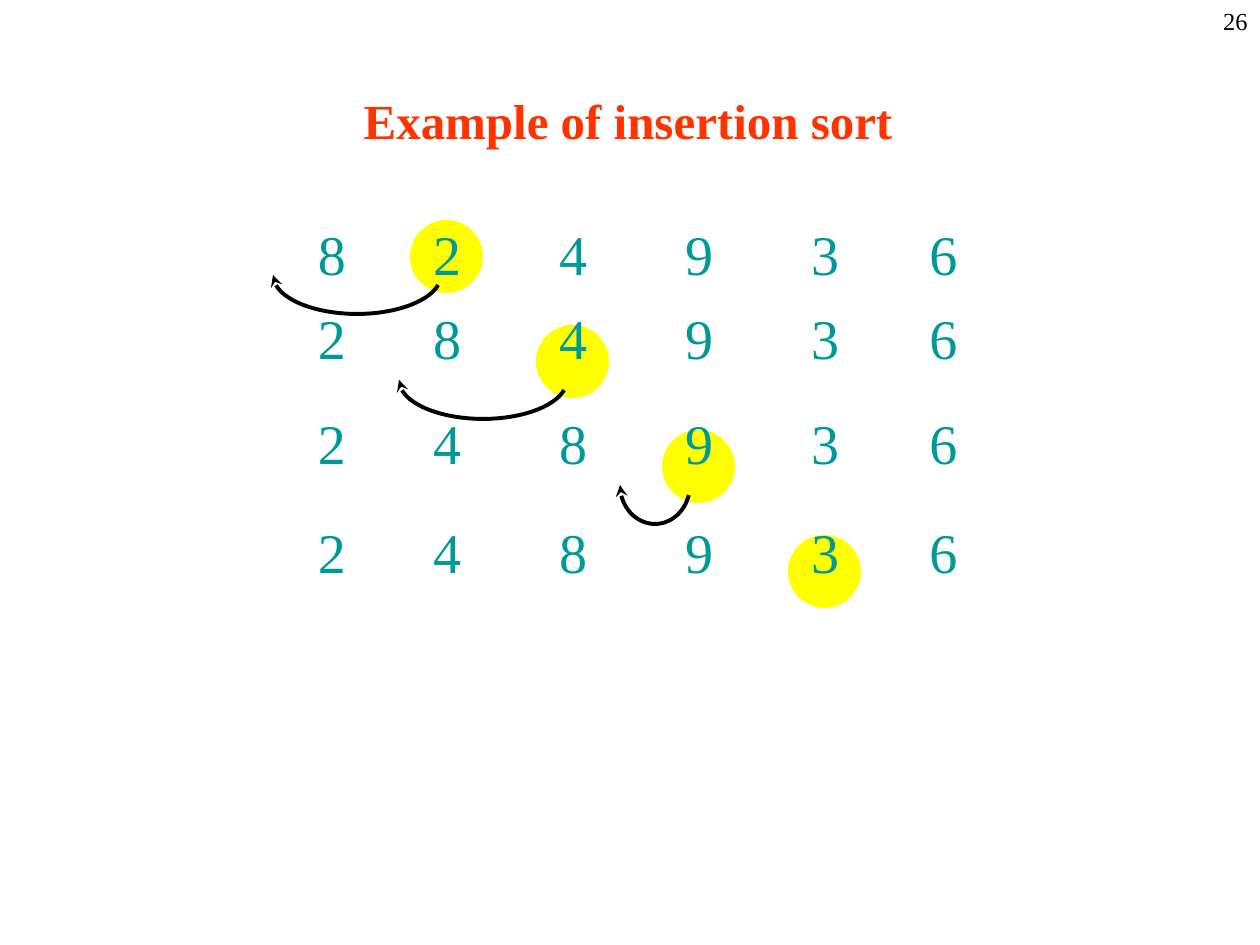
import dataclasses
import math

import pptx
import pptx.dml.color
import pptx.enum.text
import pptx.oxml
import pptx.oxml.ns
import pptx.util
from pptx.enum.shapes import MSO_SHAPE

SCALE = 914400 / 126
ALIGN = pptx.enum.text.PP_ALIGN
ANCHOR = pptx.enum.text.MSO_ANCHOR
PLAIN_GRID = "{2D5ABB26-0587-4C30-8999-92F81FD0307C}"

STEP = 126          # column pitch
DROP = 105          # pitch of the marked steps
COLS = [82, STEP, STEP, STEP, STEP, 82]
ROWS = [83, DROP, DROP, 83]
STEPS = ["824936", "284936", "248936", "248936"]
LINES = [35, None, None, 38]    # exact line height of each row, in points


@dataclasses.dataclass(frozen=True)
class Theme:
    face: str = "Times New Roman"
    title: str = "FF3300"
    digit: str = "009999"
    mark: str = "FFFF00"
    ink: str = "000000"
    head: int = 28
    cell: int = 32
    note: int = 14
    stroke: float = 2.25


THEME = Theme()


def px(num):
    return pptx.util.Emu(round(num * SCALE))


def rgb(code):
    return pptx.dml.color.RGBColor.from_string(code)


def apply(item, form):
    for name, value in form.items():
        setattr(item, name, value)


def place(shape, left, top, width, height):
    apply(shape, {"left": px(left), "top": px(top),
                  "width": px(width), "height": px(height)})


def write(frame, text, size, color, align, bold=False, line=None):
    para = frame.paragraphs[0]
    apply(para, {"alignment": align, "line_spacing": line and pptx.util.Pt(line)})
    run = para.add_run()
    run.text = text
    apply(run.font, {"name": THEME.face, "size": pptx.util.Pt(size), "bold": bold})
    run.font.color.rgb = rgb(color)


def add_title(slide, text):
    title = slide.shapes.title
    place(title, 210, 71, 836, 96)
    apply(title.text_frame, {
        "margin_left": 0, "margin_right": 0, "margin_top": px(1), "margin_bottom": 0,
        "vertical_anchor": ANCHOR.MIDDLE, "word_wrap": True,
        "auto_size": pptx.enum.text.MSO_AUTO_SIZE.NONE})
    write(title.text_frame, text, THEME.head, THEME.title, ALIGN.CENTER, bold=True)


def add_number(slide, text):
    box = slide.shapes.add_textbox(px(998), 0, px(262), px(63))
    box.text_frame.word_wrap = True
    write(box.text_frame, text, THEME.note, THEME.ink, ALIGN.RIGHT)


def add_mark(slide, left, top):
    """Disc behind the digit that is inserted next."""
    disc = slide.shapes.add_shape(MSO_SHAPE.OVAL, px(left), px(top), px(73), px(73))
    disc.shadow.inherit = False
    disc.fill.solid()
    disc.fill.fore_color.rgb = rgb(THEME.mark)
    disc.line.fill.background()


def add_arc(slide, mid, top, wide, deep=39):
    """Arrow along the lower half of an ellipse, from right to left."""
    points = [(px(mid + wide * math.cos(math.radians(deg))),
               px(top + deep * math.sin(math.radians(deg))))
              for deg in range(15, 181, 5)]
    path = slide.shapes.build_freeform(*points[0], scale=1.0)
    path.add_line_segments(points[1:], close=False)
    arc = path.convert_to_shape()
    arc.shadow.inherit = False
    arc.fill.background()
    arc.line.width = pptx.util.Pt(THEME.stroke)
    arc.line.color.rgb = rgb(THEME.ink)
    tip = pptx.oxml.parse_xml(
        '<a:tailEnd %s type="stealth" w="med" len="med"/>' % pptx.oxml.ns.nsdecls("a"))
    arc.line._get_or_add_ln().append(tip)


def add_grid(slide):
    frame = slide.shapes.add_table(len(ROWS), len(COLS), px(302), px(220),
                                   px(sum(COLS)), px(sum(ROWS)))
    table = frame.table
    apply(table, {"first_row": False, "horz_banding": False})
    table._tbl.tblPr.find(pptx.oxml.ns.qn("a:tableStyleId")).text = PLAIN_GRID
    for col, width in zip(table.columns, COLS):
        col.width = px(width)
    sides = [ALIGN.LEFT] + [ALIGN.CENTER] * 4 + [ALIGN.RIGHT]
    for row, height, digits, line in zip(table.rows, ROWS, STEPS, LINES):
        row.height = px(height)
        for cell, digit, side in zip(row.cells, digits, sides):
            cell.fill.background()
            write(cell.text_frame, digit, THEME.cell, THEME.digit, side, line=line)
    for row in table.rows:
        row.cells[0].margin_left = px(16)


def main():
    deck = pptx.Presentation()
    apply(deck, {"slide_width": px(1260), "slide_height": px(945)})
    slide = deck.slides.add_slide(deck.slide_layouts[5])
    add_title(slide, "Example of insertion sort")
    for step in range(len(STEPS)):
        add_mark(slide, 410 + STEP * step, 220 + DROP * step)
    for step, (mid, wide) in enumerate([(357, 84), (483, 84), (655, 35)]):
        add_arc(slide, mid, 275 + DROP * step, wide)
    add_grid(slide)
    add_number(slide, "26")
    deck.save("out.pptx")


if __name__ == "__main__":
    main()
